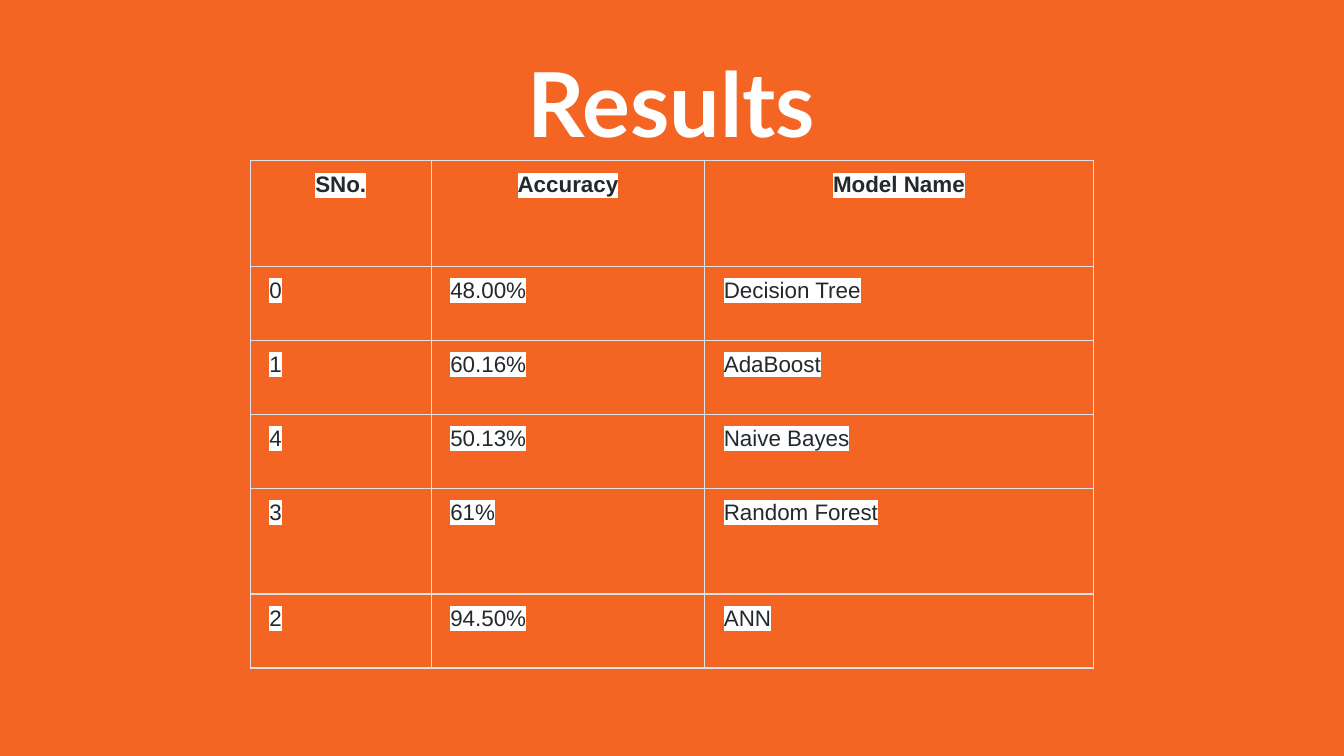
"""Build the model accuracy results slide."""
from dataclasses import dataclass

from lxml.etree import SubElement
from pptx import Presentation
from pptx.dml.color import RGBColor as Rgb
from pptx.enum.text import MSO_ANCHOR as Anchor, MSO_AUTO_SIZE as AutoSize, PP_ALIGN as Align
from pptx.oxml import parse_xml
from pptx.oxml.ns import nsdecls, qn
from pptx.util import Cm, Pt


@dataclass(frozen=True)
class Theme:
    background: str = "F46524"
    white: str = "FFFFFF"
    ink: str = "24292E"
    border: str = "DFE2E5"
    title_font: str = "Lato"
    table_font: str = "Arial"
    title_size: int = 48
    table_size: int = 12
    border_width: float = 0.75


THEME = Theme()
COLUMN_WIDTHS = (3.42, 5.17, 7.34)
ROW_HEIGHTS = (2, 1.4, 1.4, 1.4, 2, 1.4)
RESULTS = (
    ("SNo.", "Accuracy", "Model Name"),
    ("0", "48.00%", "Decision Tree"),
    ("1", "60.16%", "AdaBoost"),
    ("4", "50.13%", "Naive Bayes"),
    ("3", "61%", "Random Forest"),
    ("2", "94.50%", "ANN"),
)


def apply(target, formats):
    for name, value in formats.items():
        setattr(target, name, value)


def style_font(font, name, size, color, bold):
    apply(font, {"name": name, "size": Pt(size), "bold": bold})
    font.color.rgb = Rgb.from_string(color)


def add_title(slide, wording):
    title = slide.shapes.title
    apply(title, {"left": Cm(2.49), "top": Cm(0.66), "width": Cm(20.4), "height": Cm(2.39)})
    frame = title.text_frame
    frame.text = wording
    inset = Cm(0.25)
    apply(frame, {
        "word_wrap": True, "auto_size": AutoSize.NONE, "vertical_anchor": Anchor.TOP,
        "margin_left": inset, "margin_right": inset, "margin_top": inset, "margin_bottom": inset,
    })
    heading = frame.paragraphs[0]
    apply(heading, {"alignment": Align.CENTER, "line_spacing": 1.0})
    style_font(heading.runs[0].font, THEME.title_font, THEME.title_size, THEME.white, True)


def highlight(run, color):
    properties = run.font._element
    marker = parse_xml(f'<a:highlight {nsdecls("a")}><a:srgbClr val="{color}"/></a:highlight>')
    properties.find(qn("a:solidFill")).addnext(marker)


def add_borders(cell):
    properties = cell._tc.get_or_add_tcPr()
    for side in ("lnL", "lnR", "lnT", "lnB"):
        line = SubElement(properties, qn(f"a:{side}"), w=str(Pt(THEME.border_width)))
        fill = SubElement(line, qn("a:solidFill"))
        SubElement(fill, qn("a:srgbClr"), val=THEME.border)


def fill_cell(cell, wording, is_header):
    cell.text = wording
    apply(cell, {
        "margin_left": Cm(0.36), "margin_right": Cm(0.36),
        "margin_top": Cm(0.16), "margin_bottom": Cm(0.16), "vertical_anchor": Anchor.TOP,
    })
    entry = cell.text_frame.paragraphs[0]
    apply(entry, {
        "alignment": Align.CENTER if is_header else Align.LEFT,
        "line_spacing": 1.15, "space_after": Pt(12),
    })
    run = entry.runs[0]
    style_font(run.font, THEME.table_font, THEME.table_size, THEME.ink, is_header)
    highlight(run, THEME.white)
    add_borders(cell)
    cell.fill.background()


def add_results_table(slide):
    table = slide.shapes.add_table(
        len(RESULTS), len(COLUMN_WIDTHS), Cm(4.73), Cm(3.03),
        Cm(sum(COLUMN_WIDTHS)), Cm(sum(ROW_HEIGHTS)),
    ).table
    apply(table, {"first_row": False, "horz_banding": False})
    for column, width in zip(table.columns, COLUMN_WIDTHS):
        column.width = Cm(width)
    for index, (row, height, values) in enumerate(zip(table.rows, ROW_HEIGHTS, RESULTS)):
        row.height = Cm(height)
        for cell, wording in zip(row.cells, values):
            fill_cell(cell, wording, index == 0)


def main():
    deck = Presentation()
    apply(deck, {"slide_width": Cm(25.4), "slide_height": Cm(14.29)})
    slide = deck.slides.add_slide(deck.slide_layouts.get_by_name("Title Only"))
    backdrop = slide.background.fill
    backdrop.solid()
    backdrop.fore_color.rgb = Rgb.from_string(THEME.background)
    add_title(slide, "Results")
    add_results_table(slide)
    deck.save("out.pptx")


if __name__ == "__main__":
    main()
